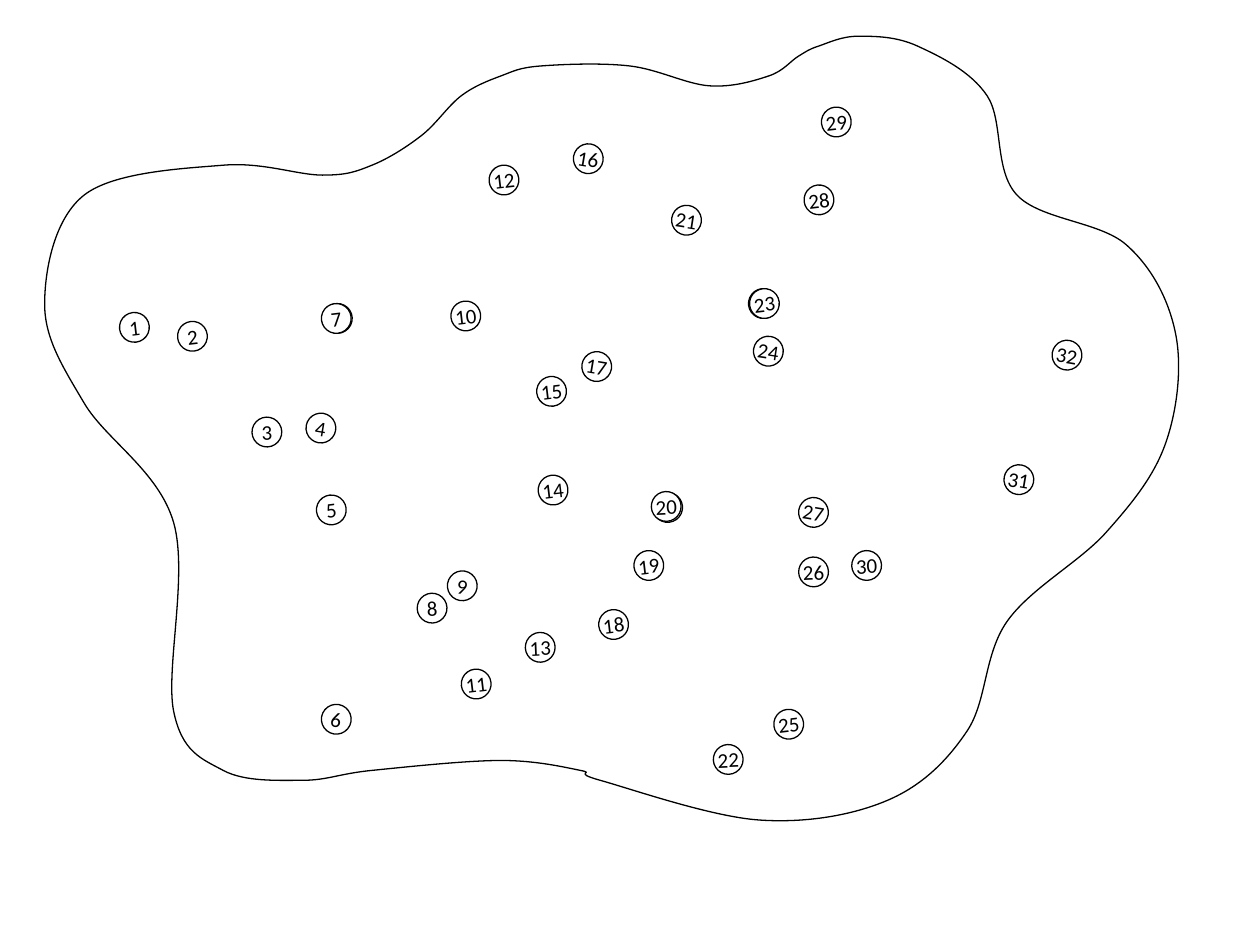
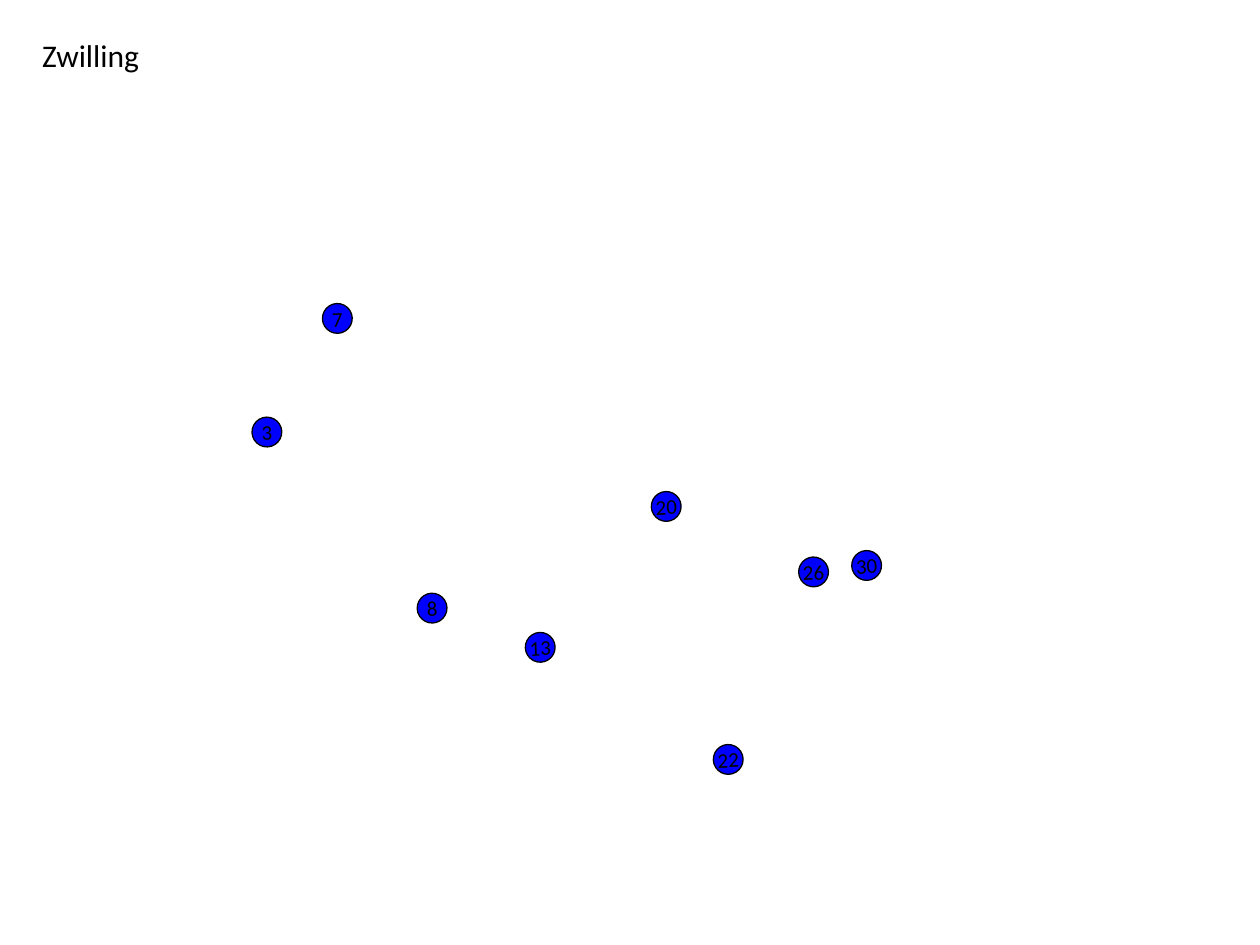
from typing import NamedTuple

from lxml import etree
from pptx import Presentation
from pptx import util as u
from pptx.dml.color import RGBColor
from pptx.enum import shapes, text
from pptx.oxml.ns import qn

COLOURS = {"ink": "000000", "paper": "FFFFFF", "twin": "0000FF"}
FONT = "Calibri"
LINE_WIDTH = u.Pt(0.75)
STAR_SIZE = u.Cm(0.6)
SKY_DROP = u.Cm(0.03)


class Star(NamedTuple):
    number: int
    left: float
    top: float


class Constellation(NamedTuple):
    rotation: float
    stars: list[Star]


class Knot(NamedTuple):
    x: float
    y: float


# Star positions in centimetres
TWIN = Constellation(357.6, [
    Star(3, 5.08, 8.41), Star(7, 6.5, 6.12), Star(20, 13.13, 9.91),
    Star(26, 16.1, 11.23), Star(30, 17.17, 11.1), Star(22, 14.38, 15.01),
    Star(8, 8.41, 11.96), Star(13, 10.59, 12.75),
])
CONSTELLATIONS = [
    Constellation(8.7, [
        Star(21, 13.54, 4.14), Star(23, 15.09, 5.82), Star(24, 15.19, 6.78),
    ]),
    Constellation(9.6, [
        Star(4, 6.17, 8.33), Star(6, 6.48, 14.2), Star(9, 9.02, 11.51),
        Star(20, 13.16, 9.93), Star(17, 11.73, 7.09), Star(16, 11.56, 2.9),
        Star(27, 16.1, 10.03), Star(31, 20.24, 9.37), Star(32, 21.21, 6.86),
    ]),
    Constellation(353.1, [
        Star(12, 9.86, 3.33), Star(14, 10.85, 9.58), Star(15, 10.82, 7.59),
        Star(11, 9.3, 13.49), Star(25, 15.6, 14.3),
    ]),
    TWIN,
    Constellation(353.3, [
        Star(1, 2.41, 6.3), Star(2, 3.58, 6.48), Star(7, 6.48, 6.12),
        Star(10, 9.09, 6.07), Star(28, 16.21, 3.73), Star(29, 16.56, 2.16),
        Star(23, 15.11, 5.82), Star(19, 12.78, 11.1), Star(18, 12.07, 12.29),
        Star(5, 6.38, 9.98),
    ]),
]

# Points the closed sky outline passes through, in centimetres
SKY_OUTLINE = [Knot(*xy) for xy in [
    (11.7, 15.5), (10.1, 15.3), (7.5, 15.5), (6.1, 15.7), (4.5, 15.5),
    (3.5, 14.3), (3.5, 10.5), (1.7, 8.1), (0.9, 6.1), (1.7, 3.9),
    (4.5, 3.3), (6.5, 3.5), (7.5, 3.3), (8.5, 2.7), (9.3, 1.9),
    (10.1, 1.5), (10.9, 1.3), (12.7, 1.3), (14.3, 1.7), (15.5, 1.5),
    (16.1, 1.1), (16.5, 0.9), (17.3, 0.7), (18.5, 0.9), (19.9, 1.9),
    (20.5, 3.9), (22.7, 4.9), (23.7, 6.7), (23.5, 8.9), (22.3, 10.7),
    (20.3, 12.5), (19.5, 14.7), (17.9, 16.1), (15.3, 16.5), (12.1, 15.7),
]]


def rgb(name: str) -> RGBColor:
    return RGBColor.from_string(COLOURS[name])


def style_outline(sp) -> None:
    sp.shadow.inherit = False
    sp.line.color.rgb = rgb("ink")
    sp.line.width = LINE_WIDTH


def write(tf, words: str, size: int) -> None:
    tf.word_wrap = False
    p = tf.paragraphs[0]
    p.text = words
    p.font.name = FONT
    p.font.size = u.Pt(size)
    p.font.color.rgb = rgb("ink")


def add_star(parent, star: Star, rotation: float, fill: str, labelled: bool = True) -> None:
    sp = parent.add_shape(shapes.MSO_SHAPE.OVAL, u.Cm(star.left), u.Cm(star.top),
                          STAR_SIZE, STAR_SIZE)
    sp.rotation = rotation
    sp.fill.solid()
    sp.fill.fore_color.rgb = rgb(fill)
    style_outline(sp)
    if labelled:
        tf = sp.text_frame
        tf.margin_left = tf.margin_right = tf.margin_top = tf.margin_bottom = 0
        tf.vertical_anchor = text.MSO_ANCHOR.MIDDLE
        write(tf, str(star.number), 12)
        tf.paragraphs[0].alignment = text.PP_ALIGN.CENTER


def handle(before: Knot, knot: Knot, after: Knot) -> Knot:
    """Control point that leaves a knot parallel to the line between its neighbours."""
    return Knot(knot.x + (after.x - before.x) / 6, knot.y + (after.y - before.y) / 6)


def curve_lines(sp) -> None:
    """Turn each three line segments of a freeform into one Bézier curve."""
    lines = list(sp._element.iter(qn("a:lnTo")))
    for trio in zip(lines[::3], lines[1::3], lines[2::3]):
        curve = etree.Element(qn("a:cubicBezTo"))
        trio[0].addprevious(curve)
        for line in trio:
            curve.append(line[0])
            line.getparent().remove(line)


def add_smooth_outline(parent, knots: list[Knot]) -> None:
    points = []
    for i in range(len(knots)):
        a, b, c, d = (knots[(i + k) % len(knots)] for k in (-1, 0, 1, 2))
        points += [handle(a, b, c), handle(d, c, b), c]
    builder = parent.build_freeform(u.Cm(knots[0].x), u.Cm(knots[0].y))
    builder.add_line_segments([(u.Cm(p.x), u.Cm(p.y)) for p in points], close=True)
    sp = builder.convert_to_shape(0, SKY_DROP)
    curve_lines(sp)
    sp.fill.background()
    style_outline(sp)


def build_sky(slide) -> None:
    placed = [(star, c.rotation) for c in CONSTELLATIONS for star in c.stars]
    for i, (star, rotation) in enumerate(placed):
        # Where stars are shared, only the front one carries the number
        covered = any(star.number == later.number for later, _ in placed[i + 1:])
        add_star(slide.shapes, star, rotation, "paper", not covered)
    add_smooth_outline(slide.shapes, SKY_OUTLINE)


def build_constellation(slide, name: str, constellation: Constellation, fill: str) -> None:
    group = slide.shapes.add_group_shape()
    for star in constellation.stars:
        add_star(group.shapes, star, constellation.rotation, fill)
    box = slide.shapes.add_textbox(u.Cm(0.6), u.Cm(0.6), u.Cm(2.49), u.Cm(1.02))
    write(box.text_frame, name, 18)
    box.text_frame.auto_size = text.MSO_AUTO_SIZE.SHAPE_TO_FIT_TEXT


def main() -> None:
    prs = Presentation()
    prs.slide_width, prs.slide_height = u.Cm(25.4), u.Cm(19.05)
    blank = prs.slide_layouts[6]
    build_sky(prs.slides.add_slide(blank))
    build_constellation(prs.slides.add_slide(blank), "Zwilling", TWIN, "twin")
    prs.save("out.pptx")


if __name__ == "__main__":
    main()
